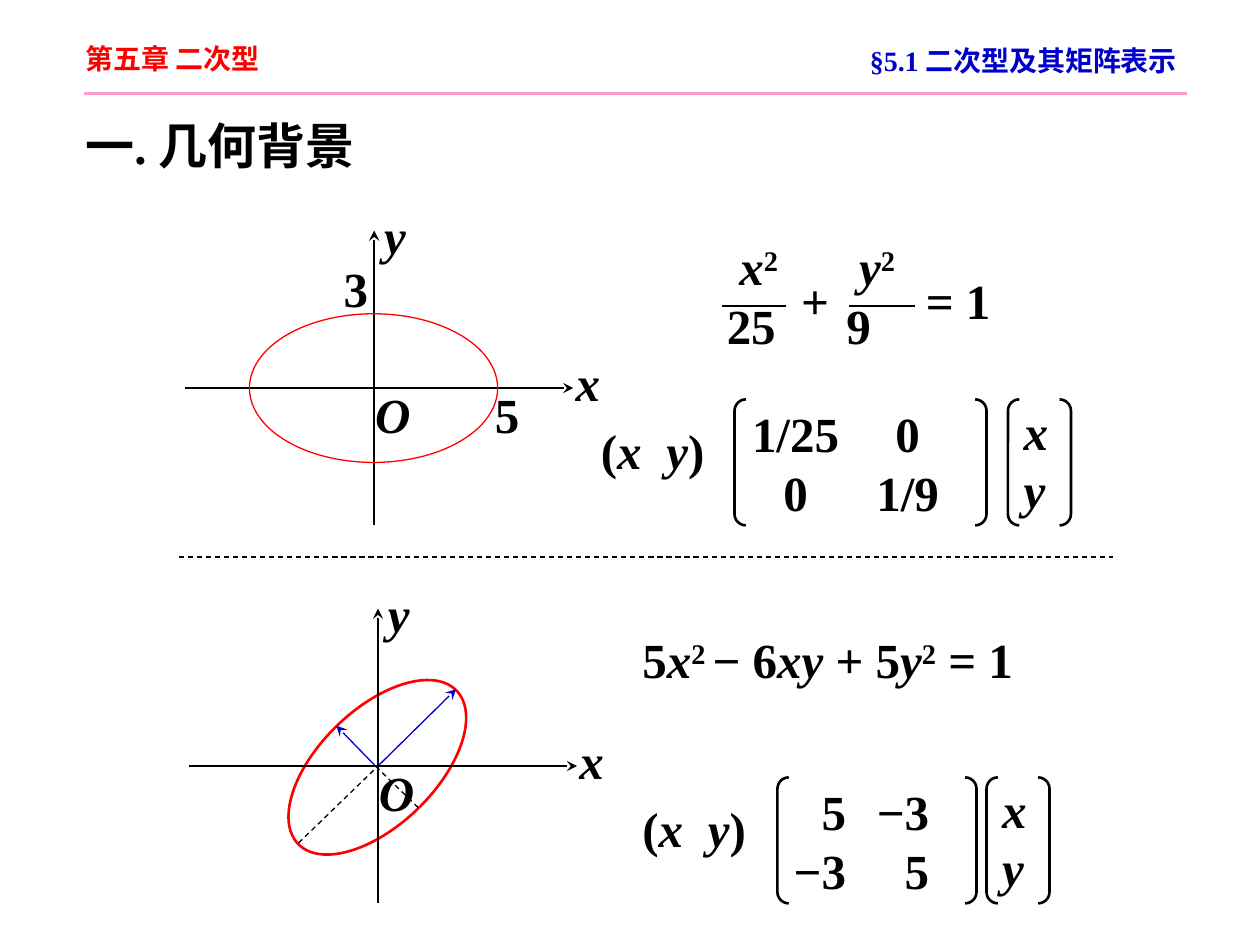
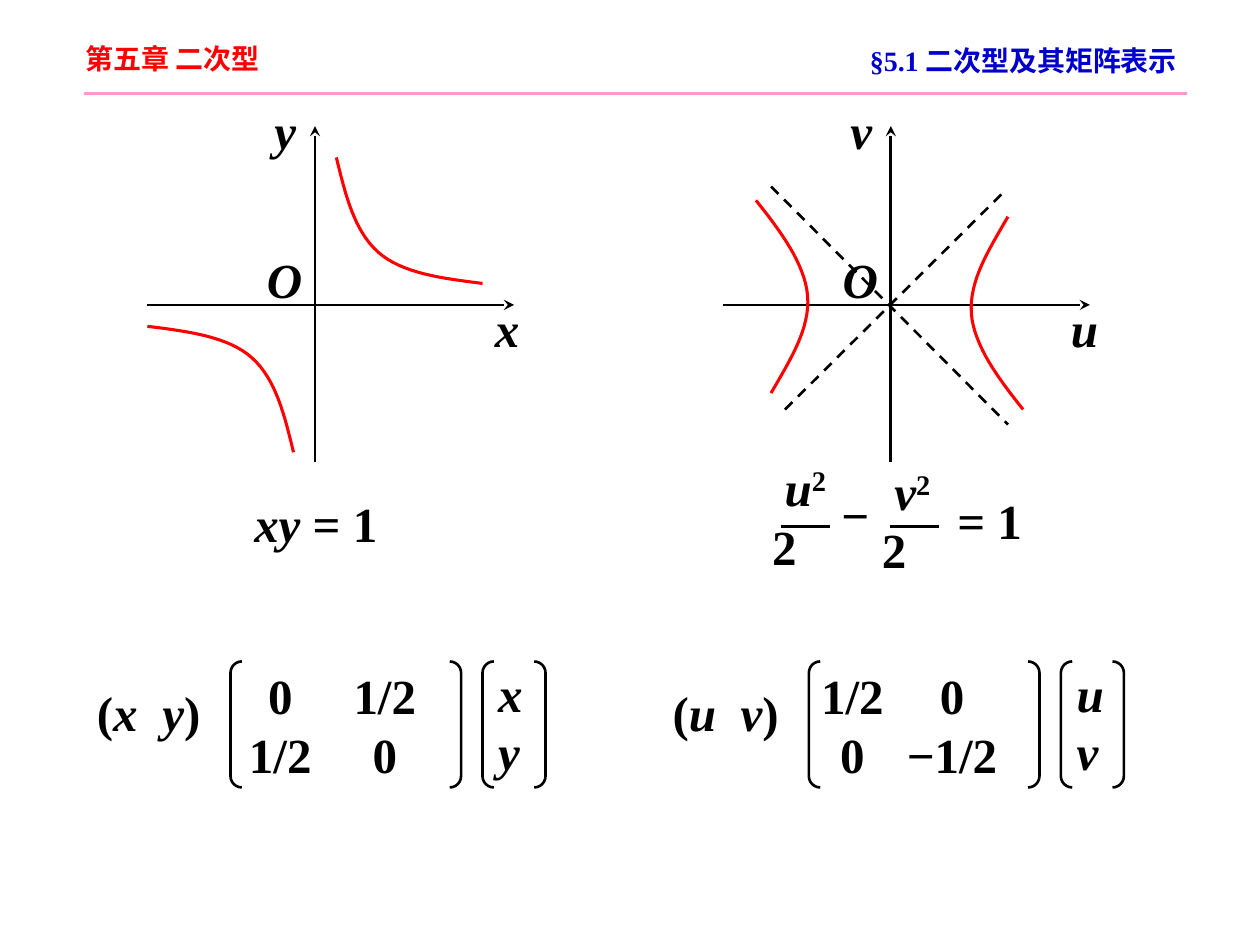
from pptx import Presentation
from pptx.dml.color import RGBColor
from pptx.enum.dml import MSO_LINE
from pptx.enum.shapes import MSO_CONNECTOR, MSO_SHAPE
from pptx.enum.text import MSO_ANCHOR, PP_ALIGN
from pptx.oxml.ns import qn
from pptx.util import Inches, Pt
from lxml.etree import SubElement

COLORS = {"text": "000000", "chapter": "FF0000", "section": "0000CC",
          "rule": "FF99CC", "curve": "FF0000", "radius": "0000CC"}
LATIN, CHINESE = "Times New Roman", "Noto Sans CJK SC"
INSETS = (0.1, 0.05, 0.1, 0.05)


def bezier(start, first, second, end, steps=16):
    """Points after the start of a cubic curve."""
    for step in range(1, steps + 1):
        t = step / steps
        weights = ((1 - t) ** 3, 3 * t * (1 - t) ** 2, 3 * t * t * (1 - t), t ** 3)
        yield tuple(sum(w * point[axis] for w, point in zip(weights, (start, first, second, end)))
                    for axis in (0, 1))


class Deck:
    def __init__(self):
        self.presentation = Presentation()
        self.presentation.slide_width = Inches(10)
        self.presentation.slide_height = Inches(7.5)
        self.slide = None

    def new_slide(self):
        self.slide = self.presentation.slides.add_slide(self.presentation.slide_layouts[6])
        self.line((0.67, 0.74), (9.42, 0.74), "rule")
        self.text(6.69, 0.3, 2.75, 0.37, [[("§5.1 二次型及其矩阵表示", "")]],
                  size=16, color="section", align=PP_ALIGN.RIGHT)
        self.text(0.58, 0.28, 1.76, 0.37, [[("第五章 二次型", "")]],
                  size=16, color="chapter", latin=CHINESE)

    # Text: each paragraph is a list of (text, style); style holds i (italic), ^ (raised)
    def fill_text(self, shape, paragraphs, size=28, color="text", latin=LATIN,
                  align=PP_ALIGN.LEFT, wrap=False, insets=INSETS,
                  anchor=MSO_ANCHOR.TOP, tabs=(), tab_align="l", first_indent=0):
        frame = shape.text_frame
        left, top, right, bottom = (Inches(inset) for inset in insets)
        frame_format = {"word_wrap": wrap, "vertical_anchor": anchor, "margin_left": left,
                        "margin_top": top, "margin_right": right, "margin_bottom": bottom}
        for name, value in frame_format.items():
            setattr(frame, name, value)
        for index, runs in enumerate(paragraphs):
            paragraph = frame.add_paragraph() if index else frame.paragraphs[0]
            paragraph.alignment = align
            properties = paragraph._p.get_or_add_pPr()
            if first_indent and index == 0:
                properties.set("marL", str(Inches(first_indent)))
                properties.set("indent", "0")
            if tabs:
                tab_list = SubElement(properties, qn("a:tabLst"))
                for position in tabs:
                    SubElement(tab_list, qn("a:tab"), pos=str(Inches(position)), algn=tab_align)
            for content, style in runs:
                run = paragraph.add_run()
                run.text = content
                run.font.color.rgb = RGBColor.from_string(COLORS[color])
                font_format = {"name": latin, "size": Pt(size), "bold": True,
                               "italic": "i" in style}
                for name, value in font_format.items():
                    setattr(run.font, name, value)
                run_properties = run._r.get_or_add_rPr()
                SubElement(run_properties, qn("a:ea"), typeface=CHINESE)
                if "^" in style:
                    run_properties.set("baseline", "30000")

    def text(self, left, top, width, height, paragraphs, **style):
        box = self.slide.shapes.add_textbox(*map(Inches, (left, top, width, height)))
        self.fill_text(box, paragraphs, **style)

    def label(self, left, top, content, style="", width=0.5):
        self.text(left, top, width, 0.63, [[(content, style)]])

    # Lines and outlines
    def paint(self, line, color, width, dash=False):
        line.color.rgb = RGBColor.from_string(COLORS[color])
        line.width = Pt(width)
        if dash:
            line.dash_style = MSO_LINE.DASH

    def line(self, start, end, color="text", width=1.5, dash=False, arrow=False):
        connector = self.slide.shapes.add_connector(
            MSO_CONNECTOR.STRAIGHT, *map(Inches, (*start, *end)))
        self.paint(connector.line, color, width, dash)
        if arrow:
            SubElement(connector.line._get_or_add_ln(), qn("a:tailEnd"), type="stealth")
        SubElement(connector._element.spPr, qn("a:effectLst"))

    def outline(self, shape, color, width):
        shape.shadow.inherit = False
        shape.fill.background()
        self.paint(shape.line, color, width)

    def ellipse(self, left, top, width, height, weight, rotation=0):
        shape = self.slide.shapes.add_shape(
            MSO_SHAPE.OVAL, *map(Inches, (left, top, width, height)))
        shape.rotation = rotation
        self.outline(shape, "curve", weight)

    def hyperbola(self, center, controls):
        """Draw a branch of two cubic pieces and its reflection in the center."""
        mirrored = [(2 * center[0] - x, 2 * center[1] - y) for x, y in controls]
        for branch in (controls, mirrored):
            points = [*bezier(*branch[:4]), *bezier(*branch[3:])]
            builder = self.slide.shapes.build_freeform(*map(Inches, branch[0]))
            builder.add_line_segments([(Inches(x), Inches(y)) for x, y in points], close=False)
            self.outline(builder.convert_to_shape(), "curve", 1.75)

    # Axes: reach is left, right, up, down; offsets place O and the two names
    def axes(self, origin, names, reach, offsets):
        x, y = origin
        left, right, up, down = reach
        self.line((x - left, y), (x + right, y), arrow=True)
        self.line((x, y + down), (x, y - up), arrow=True)
        for name, (dx, dy) in zip("O" + names, offsets):
            self.label(x + dx, y + dy, name, "i")

    # Formulas
    def fraction(self, left, top, variable, denominator, bar):
        self.text(left, top, 0.8, 1.17,
                  [[(variable, "i"), ("2", "^")], [(denominator, "")]], first_indent=0.1)
        bar_left, bar_right, bar_y = bar
        self.line((bar_left, bar_y), (bar_right, bar_y))

    def bracket(self, left, top, width, adjustment, paragraphs, **style):
        shape = self.slide.shapes.add_shape(
            MSO_SHAPE.DOUBLE_BRACKET, *map(Inches, (left, top, width, 1)))
        shape.adjustments[0] = adjustment
        self.outline(shape, "text", 1.5)
        self.fill_text(shape, paragraphs, anchor=MSO_ANCHOR.MIDDLE, **style)

    def quadratic_form(self, top, lefts, width, variables, rows, tabs,
                       tab_align="ctr", inset=0.1):
        """Row vector, matrix and column vector, at the three lefts."""
        row_left, matrix_left, column_left = lefts
        first, second = variables
        gap = 0.54 if first == "u" else 0.52
        self.text(row_left, top + 0.12, 1.15, 0.57,
                  [[("(", ""), (f"{first}\t{second}", "i"), (")", "")]], wrap=True, tabs=[gap])
        cells = [[("".join(f"\t{cell}" for cell in row), "")] for row in rows]
        self.bracket(matrix_left, top, width, 0.09, cells, wrap=True, tabs=tabs,
                     tab_align=tab_align, insets=(inset, 0.05, 0, 0.05))
        self.bracket(column_left, top, 0.5, 0.18, [[(name, "i")] for name in variables],
                     insets=(0.1, 0.01, 0.1, 0.05))


def ellipse_slide(deck):
    deck.new_slide()
    deck.text(0.58, 0.87, 2.77, 0.63, [[("一. 几何背景", "")]])
    deck.line((1.42, 4.42), (8.83, 4.42), width=0.75, dash=True)
    reach = (1.5, 1.58, 1.25, 1.09)
    offsets = ((-0.09, -0.08), (1.5, -0.33), (-0.02, -1.5))

    # Upper half: ellipse on its axes
    deck.axes((2.97, 3.08), "xy", reach, offsets)
    deck.ellipse(1.98, 2.49, 1.97, 1.18, 0.75)
    deck.label(2.63, 2, "3")
    deck.label(3.83, 3, "5")
    deck.fraction(5.67, 1.83, "x", "25", (5.73, 6.24, 2.43))
    deck.label(6.26, 2.1, "+")
    deck.fraction(6.62, 1.83, "y", "9", (6.74, 7.26, 2.43))
    deck.label(7.25, 2.1, "= 1", width=0.9)
    deck.quadratic_form(3.17, (4.67, 5.83, 8), 2, "xy",
                        [("1/25", "0"), ("0", "1/9")], (0.36, 1.25))

    # Lower half: turned ellipse
    center = (2.99, 6.09)
    deck.ellipse(2.12, 5.63, 1.75, 0.92, 1.5, rotation=315.9)
    for tail, tip in (((2.37, 6.69), (3.62, 5.47)), ((3.32, 6.41), (2.67, 5.76))):
        deck.line(tail, center, width=0.75, dash=True)
        deck.line(center, tip, "radius", 0.75, arrow=True)
    deck.axes((3, 6.08), "xy", reach, offsets)
    deck.text(5, 4.95, 3.75, 0.63, [[
        ("5", ""), ("x", "i"), ("2 ", "^"), ("− 6", ""), ("xy", "i"),
        (" + 5", ""), ("y", "i"), ("2", "^"), (" = 1", "")]])
    deck.quadratic_form(6.17, (5, 6.17, 7.83), 1.58, "xy",
                        [("5", "−3"), ("−3", "5")], (0.42, 1.08), tab_align="r")


def hyperbola_slide(deck):
    deck.new_slide()
    reach = (1.33, 1.58, 1.42, 1.25)
    offsets = ((-0.48, -0.49), (1.33, -0.1), (-0.42, -1.67))

    # Left half: xy = 1
    deck.axes((2.5, 2.42), "xy", reach, offsets)
    deck.hyperbola((2.5, 2.42), [(2.67, 1.25), (2.74, 1.54), (2.81, 1.83), (3, 2),
                                 (3.19, 2.17), (3.51, 2.21), (3.83, 2.25)])
    deck.text(1.92, 3.87, 1.43, 0.63, [[("xy", "i"), (" = 1", "")]])
    deck.quadratic_form(5.25, (0.67, 1.83, 3.83), 1.83, "xy",
                        [("0", "1/2"), ("1/2", "0")], (0.27, 1.1))

    # Right half: the same curve in u and v
    deck.axes((7.07, 2.42), "uv", reach, offsets)
    deck.line((6.23, 3.25), (7.95, 1.54), dash=True)
    deck.line((6.12, 1.48), (8, 3.37), dash=True)
    deck.hyperbola((7.06, 2.42), [(8, 1.72), (7.85, 1.98), (7.69, 2.23), (7.71, 2.49),
                                  (7.73, 2.74), (7.92, 3), (8.12, 3.25)])
    deck.fraction(6.03, 3.58, "u", "2", (6.2, 6.59, 4.18))
    deck.label(6.58, 3.8, "−")
    deck.fraction(6.9, 3.61, "v", "2", (7.06, 7.45, 4.18))
    deck.label(7.5, 3.84, "= 1", width=0.9)
    deck.quadratic_form(5.25, (5.24, 6.42, 8.42), 1.83, "uv",
                        [("1/2", "0"), ("0", "−1/2")], (0.26, 1.05), inset=0.06)


def main():
    deck = Deck()
    ellipse_slide(deck)
    hyperbola_slide(deck)
    deck.presentation.save("out.pptx")


if __name__ == "__main__":
    main()
